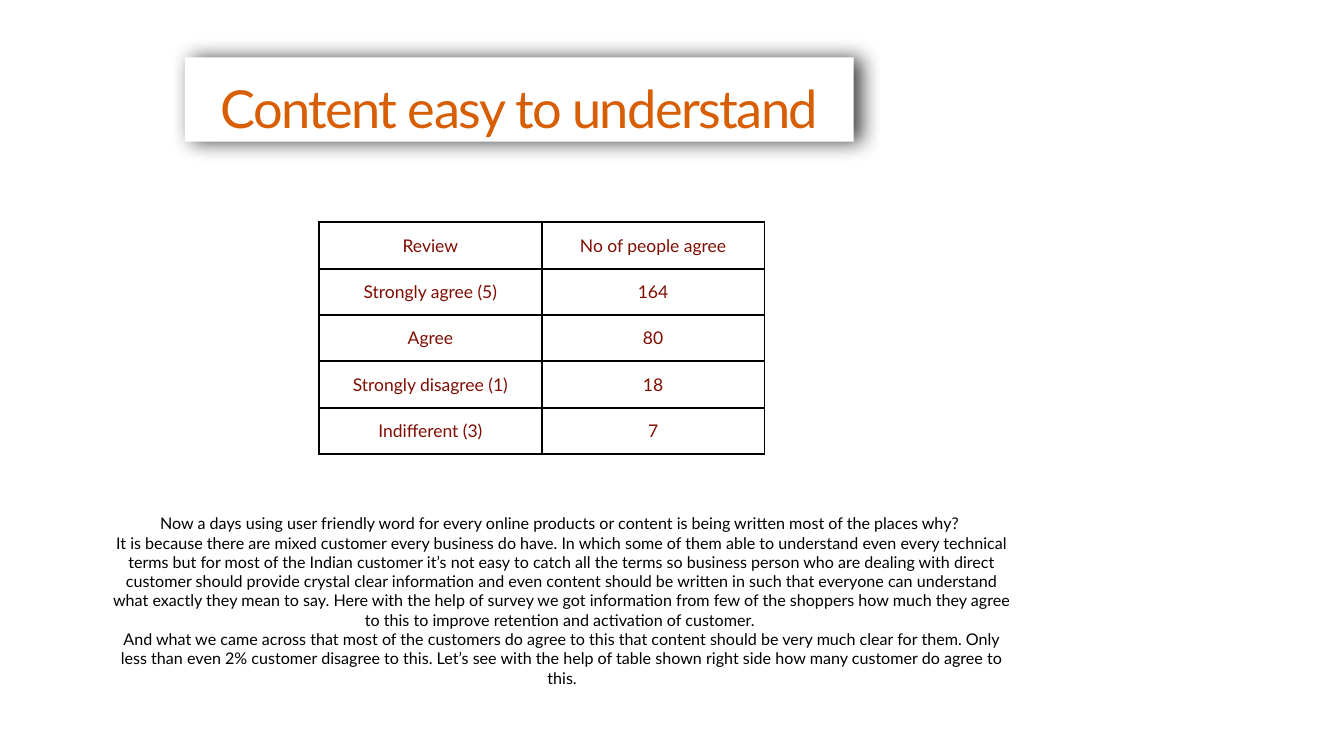
import pptx
import pptx.util
import pptx.oxml
import pptx.dml.color
import pptx.enum.shapes
import pptx.enum.text

Inches, Pt = pptx.util.Inches, pptx.util.Pt
ALIGN, ANCHOR = pptx.enum.text.PP_ALIGN, pptx.enum.text.MSO_ANCHOR
NAMESPACE = 'xmlns:a="http://schemas.openxmlformats.org/drawingml/2006/main"'

TITLE = "Content easy to understand"
REVIEWS = [
    ("Review", "No of people agree"),
    ("Strongly agree (5)", "164"),
    ("Agree", "80"),
    ("Strongly disagree (1)", "18"),
    ("Indifferent (3)", "7"),
]
COMMENTS = [
    "Now a days using user friendly word for every online products or content is being "
    "written most of the places why? ",
    "It is because there are mixed customer every business do have. In which some of them "
    "able to understand even every technical terms but for most of the Indian customer it’s "
    "not easy to catch all the terms so business person who are dealing with direct customer "
    "should provide crystal clear information and even content should be written in such that "
    "everyone can understand what exactly they mean to say. Here with the help of survey we "
    "got information from few of the shoppers how much they agree to this to improve "
    "retention and activation of customer. ",
    "And what we came across that most of the customers do agree to this that content should "
    "be very much clear for them. Only less than even 2% customer disagree to this. Let’s see "
    "with the help of table shown right side how many customer do agree to this.",
]

COLORS = {"paper": "FFFFFF", "title": "D75E02", "table": "800D02", "ink": "000000"}
FONT = "Lato"
INSET = Inches(0.06)
COLUMN_WIDTH, ROW_HEIGHT = 4.42, 0.92


def color(name):
    return pptx.dml.color.RGBColor.from_string(COLORS[name])


def write(frame, lines, size, ink, anchor):
    """Fill a text frame with centred paragraphs and return the last run."""
    frame.word_wrap = True
    frame.vertical_anchor = anchor
    frame.margin_left = frame.margin_right = INSET
    frame.margin_top = frame.margin_bottom = INSET
    for index, line in enumerate(lines):
        para = frame.add_paragraph() if index else frame.paragraphs[0]
        para.alignment = ALIGN.CENTER
        span = para.add_run()
        span.text = line
        span.font.name = FONT
        span.font.size = Pt(size)
        span.font.color.rgb = color(ink)
    return span


def paint_plain(shape):
    shape.fill.solid()
    shape.fill.fore_color.rgb = color("paper")
    shape.line.fill.background()


def add_title(page):
    title = page.shapes.title
    title.left, title.top, title.width, title.height = map(Inches, (3.67, 1.14, 13.27, 1.67))
    paint_plain(title)
    title.element.spPr.append(pptx.oxml.parse_xml(
        f'<a:effectLst {NAMESPACE}><a:outerShdw blurRad="{Pt(30)}" dist="{Pt(9.4)}" dir="0" '
        f'algn="ctr" rotWithShape="0"><a:srgbClr val="{COLORS["ink"]}">'
        '<a:alpha val="75000"/></a:srgbClr></a:outerShdw></a:effectLst>'))
    frame = title.text_frame
    span = write(frame, [TITLE], 74.8, "title", ANCHOR.BOTTOM)
    frame.auto_size = pptx.enum.text.MSO_AUTO_SIZE.NONE
    frame.paragraphs[0].line_spacing = 0.8
    span.font.element.set("spc", "-220") if hasattr(span.font, "element") else \
        span.font._element.set("spc", "-220")


def add_comments(page):
    box = page.shapes.add_shape(pptx.enum.shapes.MSO_SHAPE.ROUNDED_RECTANGLE,
                                *map(Inches, (2.06, 9.92, 18.19, 3.99)))
    box.adjustments[0] = 0.05
    box.shadow.inherit = False
    paint_plain(box)
    write(box.text_frame, COMMENTS, 23, "ink", ANCHOR.MIDDLE)


def add_borders(cell):
    properties = cell._tc.get_or_add_tcPr()
    for position, side in enumerate(("lnL", "lnR", "lnT", "lnB")):
        properties.insert(position, pptx.oxml.parse_xml(
            f'<a:{side} {NAMESPACE} w="{Pt(3)}"><a:solidFill>'
            f'<a:srgbClr val="{COLORS["ink"]}"/></a:solidFill></a:{side}>'))


def add_reviews(page):
    rows, columns = len(REVIEWS), len(REVIEWS[0])
    table = page.shapes.add_table(
        rows, columns, Inches(6.33), Inches(4.41),
        Inches(columns * COLUMN_WIDTH), Inches(rows * ROW_HEIGHT)).table
    table.first_row = table.horz_banding = False
    for column in table.columns:
        column.width = Inches(COLUMN_WIDTH)
    for row, texts in zip(table.rows, REVIEWS):
        row.height = Inches(ROW_HEIGHT)
        for cell, text in zip(row.cells, texts):
            cell.fill.background()
            add_borders(cell)
            write(cell.text_frame, [text], 25, "table", ANCHOR.MIDDLE)
            cell.vertical_anchor = ANCHOR.MIDDLE
            cell.margin_left = cell.margin_right = INSET
            cell.margin_top = cell.margin_bottom = INSET


def main():
    deck = pptx.Presentation()
    deck.slide_width, deck.slide_height = Inches(26.67), Inches(15)
    page = deck.slides.add_slide(deck.slide_layouts.get_by_name("Title Only"))
    add_title(page)
    add_comments(page)
    add_reviews(page)
    deck.save("out.pptx")


if __name__ == "__main__":
    main()
